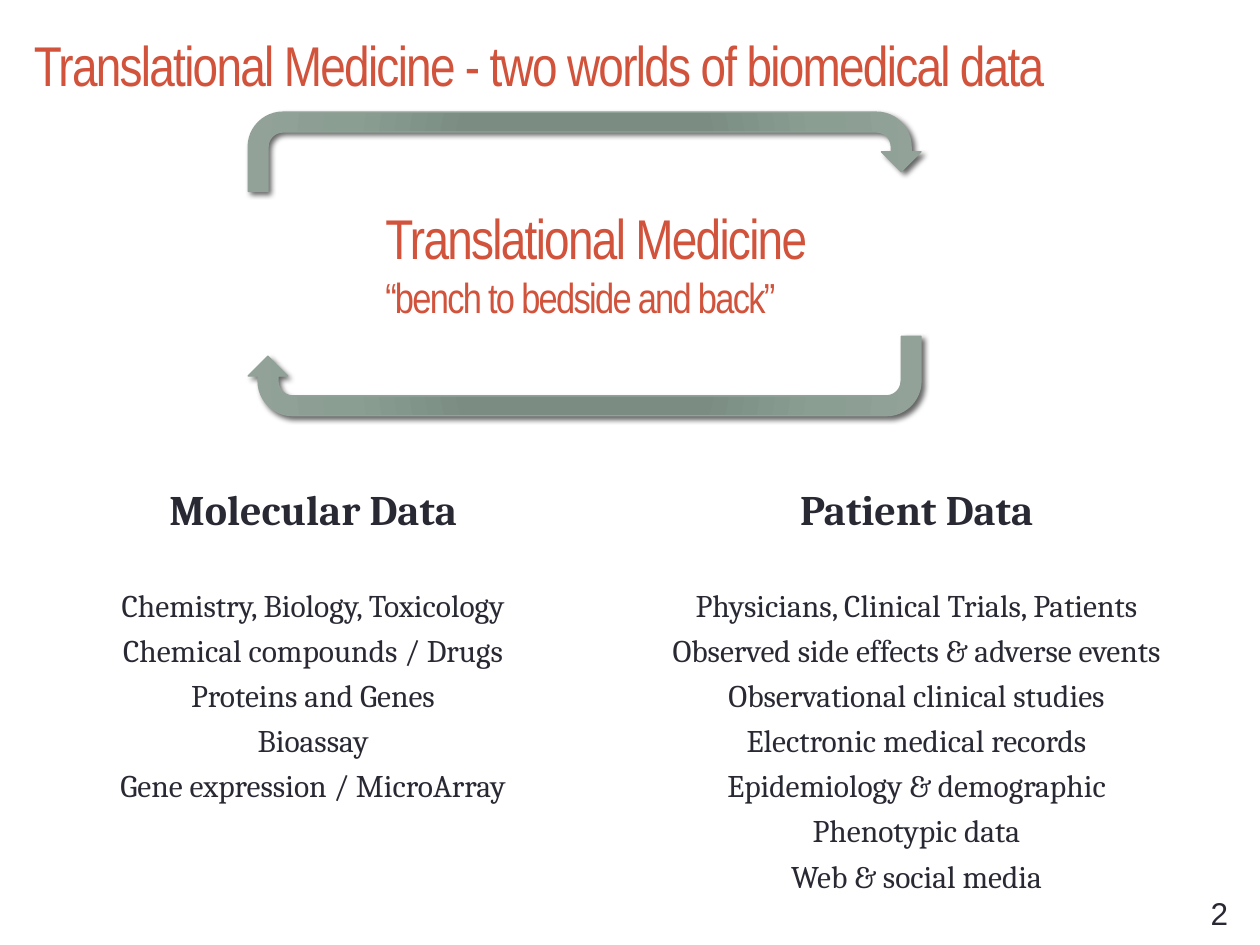
from lxml import etree
from pptx import Presentation
from pptx.dml.color import RGBColor
from pptx.enum.shapes import MSO_SHAPE
from pptx.enum.text import MSO_ANCHOR, PP_ALIGN
from pptx.oxml import parse_xml
from pptx.oxml.ns import nsdecls, qn
from pptx.util import Inches, Pt

UTURN = MSO_SHAPE.U_TURN_ARROW
TOP, MIDDLE = MSO_ANCHOR.TOP, MSO_ANCHOR.MIDDLE
LEFT, CENTER = PP_ALIGN.LEFT, PP_ALIGN.CENTER

RED = RGBColor(0xD2, 0x53, 0x3C)
INK = RGBColor(0x29, 0x29, 0x34)
SAGE = RGBColor(0x93, 0xA2, 0x99)

TITLE = "Translational Medicine - two worlds of biomedical data"
CYCLE = ("Translational Medicine", "“bench to bedside and back”")
PAGE_NUMBER = "2"
COLUMNS = [
    ("Molecular Data", [
        "Chemistry, Biology, Toxicology",
        "Chemical compounds / Drugs",
        "Proteins and Genes",
        "Bioassay",
        "Gene expression / MicroArray",
    ]),
    ("Patient Data", [
        "Physicians, Clinical Trials, Patients",
        "Observed side effects & adverse events",
        "Observational clinical studies",
        "Electronic medical records",
        "Epidemiology & demographic",
        "Phenotypic data",
        "Web & social media",
    ]),
]

HEADLINE = {"name": "Arial Narrow", "size": Pt(32), "color": RED}
TAGLINE = HEADLINE | {"size": Pt(24)}
HEADING = {"name": "Cambria", "size": Pt(24), "color": INK, "bold": True}
ITEM = HEADING | {"size": Pt(18), "bold": False}
NUMBER = {"name": "Arial", "size": Pt(18), "color": INK}

COLUMN_LEFT, COLUMN_TOP = 0.17, 3.79
COLUMN_WIDTH, COLUMN_HEIGHT, COLUMN_GAP = 4.63, 3.93, 0.16
ITEM_GAP, LIST_GAP = 4.2, 29.5

ARROW_LEFT, ARROW_WIDTH, ARROW_HEIGHT = 1.97, 5.34, 0.63
ARROWS = [(0.89, False), (2.67, True)]  # top, turned back
GRADIENT_STOPS = [(0, "7B8E82"), (34, "7B8D83"), (70, "8A9E92"), (100, "93A299")]


def style(run, font_format):
    for attribute, value in font_format.items():
        if attribute == "color":
            run.font.color.rgb = value
        else:
            setattr(run.font, attribute, value)
    if font_format["name"] == "Arial Narrow":
        run.font._element.set("spc", "-100")


def add_text(slide, box, lines, align=LEFT, anchor=TOP, wrap=True):
    """Add a text box; each line is (text, font format, points before)."""
    frame = slide.shapes.add_textbox(*map(Inches, box)).text_frame
    frame.word_wrap = wrap
    frame.vertical_anchor = anchor
    for index, (text, font_format, gap) in enumerate(lines):
        paragraph = frame.add_paragraph() if index else frame.paragraphs[0]
        paragraph.alignment = align
        if gap:
            paragraph.space_before = Pt(gap)
        run = paragraph.add_run()
        run.text = text
        style(run, font_format)


def circular_gradient():
    stops = "".join(
        f'<a:gs pos="{position * 1000}"><a:srgbClr val="{color}"/></a:gs>'
        for position, color in GRADIENT_STOPS)
    return parse_xml(
        f'<a:gradFill {nsdecls("a")} rotWithShape="1"><a:gsLst>{stops}</a:gsLst>'
        '<a:path path="circle"><a:fillToRect l="100000" t="100000" '
        'r="100000" b="100000"/></a:path></a:gradFill>')


def add_shadow(properties):
    effects = properties.find(qn("a:effectLst"))
    shadow = etree.SubElement(
        effects, qn("a:outerShdw"), blurRad=str(Pt(3)), dist=str(Pt(2)),
        dir="2700000", algn="tl", rotWithShape="0")
    color = etree.SubElement(shadow, qn("a:srgbClr"), val="000000")
    etree.SubElement(color, qn("a:alpha"), val="60000")


def add_cycle_arrow(slide, top, turned):
    box = (ARROW_LEFT, top, ARROW_WIDTH, ARROW_HEIGHT)
    arrow = slide.shapes.add_shape(UTURN, *map(Inches, box))
    arrow.shadow.inherit = False
    arrow.line.color.rgb = SAGE
    arrow.line.width = Pt(0.75)
    properties = arrow._element.spPr
    properties.find(qn("a:prstGeom")).addnext(circular_gradient())
    add_shadow(properties)
    if turned:
        for flip in ("flipH", "flipV"):
            properties.find(qn("a:xfrm")).set(flip, "1")


def main():
    presentation = Presentation()
    presentation.slide_width, presentation.slide_height = Inches(10), Inches(7.5)
    slide = presentation.slides.add_slide(presentation.slide_layouts[6])

    add_text(slide, (9.51, 7.05, 0.51, 0.4), [(PAGE_NUMBER, NUMBER, 0)], wrap=False)
    add_text(slide, (0.17, 0.17, 9.17, 0.67), [(TITLE, HEADLINE, 0)], anchor=MIDDLE)

    for index, (heading, items) in enumerate(COLUMNS):
        left = COLUMN_LEFT + index * (COLUMN_WIDTH + COLUMN_GAP)
        lines = [(heading, HEADING, 0)]
        lines += [(item, ITEM, ITEM_GAP if row else LIST_GAP)
                  for row, item in enumerate(items)]
        add_text(slide, (left, COLUMN_TOP, COLUMN_WIDTH, COLUMN_HEIGHT), lines, CENTER)

    for top, turned in ARROWS:
        add_cycle_arrow(slide, top, turned)

    name, motto = CYCLE
    add_text(slide, (2.96, 1.57, 3.74, 1.04),
             [(name, HEADLINE, 0), (motto, TAGLINE, 0)], wrap=False)

    presentation.save("out.pptx")


if __name__ == "__main__":
    main()
